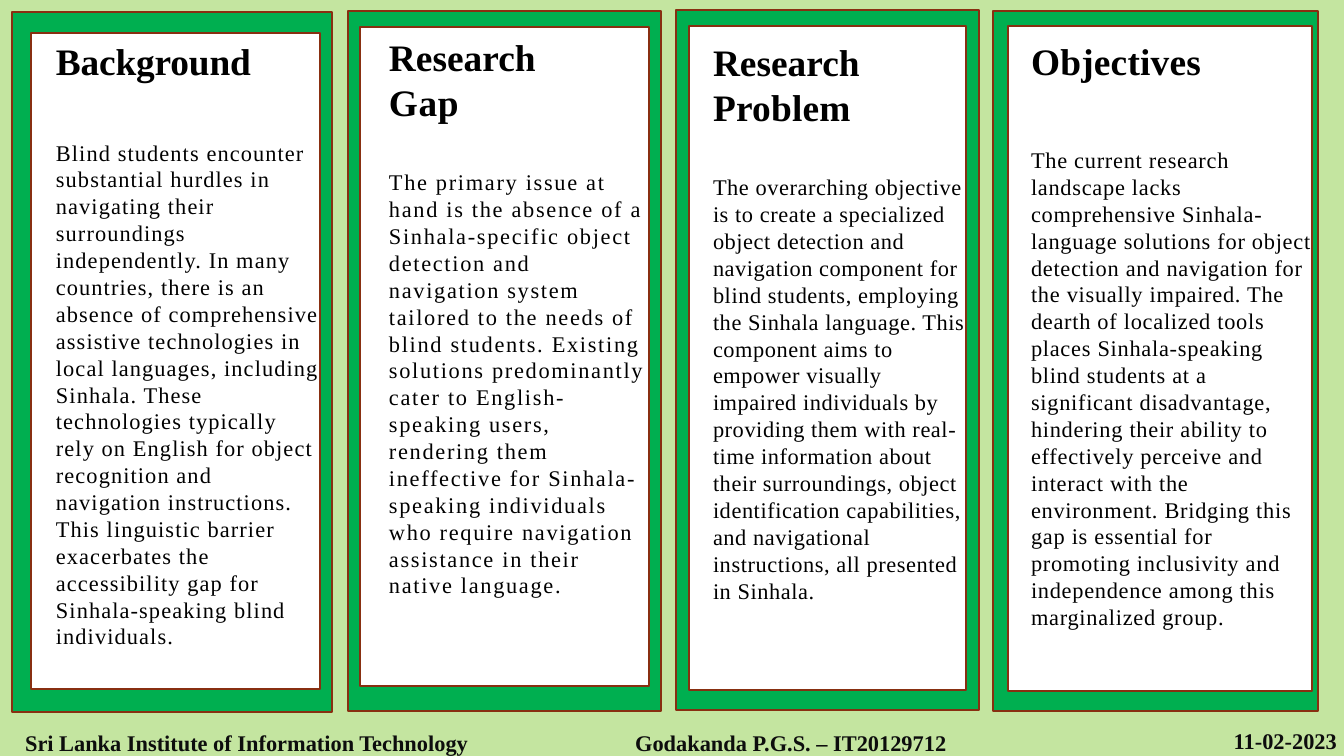
"""Build a slide with four framed research summary panels and a footer."""
from lxml import etree
from pptx import Presentation
from pptx.dml.color import RGBColor
from pptx.enum.shapes import MSO_SHAPE
from pptx.enum.text import MSO_ANCHOR, PP_ALIGN
from pptx.oxml.ns import qn
from pptx.util import Emu, Pt

RECTANGLE = MSO_SHAPE.RECTANGLE
TOP = MSO_ANCHOR.TOP
LEFT, CENTER, RIGHT = PP_ALIGN.LEFT, PP_ALIGN.CENTER, PP_ALIGN.RIGHT

SLIDE_WIDTH, SLIDE_HEIGHT = 1344, 756
EMU_PER_PX = 914400 / 134.4
FONT = "Times New Roman"
LINE_WIDTH = 1.25
BACKDROP_ALPHA = 54
COLORS = {
    "backdrop": "92D050",
    "frame": "00AF50",
    "border": "882F11",
    "card": "FFFFFF",
    "text": "000000",
    "footer": "0D0D0D",
}
TITLE = {"name": FONT, "size": Pt(20), "bold": True}
BODY = {"name": FONT, "size": Pt(12), "bold": False}
FOOTER = {"name": FONT, "size": Pt(12), "bold": True}

PANELS = [
    {
        "frame": (12, 12, 320, 700), "card": (31, 33, 289, 656),
        "inset": 5, "indent": 25, "gap": 30, "spacing": 0.6,
        "title": [("Background", -0.1)],
        "body": "Blind students encounter substantial hurdles in navigating their "
                "surroundings independently. In many countries, there is an absence of "
                "comprehensive assistive technologies in local languages, including "
                "Sinhala. These technologies typically rely on English for object "
                "recognition and navigation instructions. This linguistic barrier "
                "exacerbates the accessibility gap for Sinhala-speaking blind individuals.",
    },
    {
        "frame": (348, 11, 313, 700), "card": (360, 27, 289, 659),
        "inset": 7, "indent": 29, "gap": 24, "spacing": 0.9,
        "title": [("Research", 0), ("Gap", 0.3)],
        "body": "The primary issue at hand is the absence of a Sinhala-specific object "
                "detection and navigation system tailored to the needs of blind students. "
                "Existing solutions predominantly cater to English-speaking users, "
                "rendering them ineffective for Sinhala-speaking individuals who require "
                "navigation assistance in their native language.",
    },
    {
        "frame": (676, 10, 303, 700), "card": (689, 26, 277, 664),
        "inset": 13, "indent": 24, "gap": 24, "spacing": 0.3,
        "title": [("Research", 0), ("Problem", 0.1)],
        "body": "The overarching objective is to create a specialized object detection "
                "and navigation component for blind students, employing the Sinhala "
                "language. This component aims to empower visually impaired individuals "
                "by providing them with real-time information about their surroundings, "
                "object identification capabilities, and navigational instructions, all "
                "presented in Sinhala.",
    },
    {
        "frame": (993, 11, 325, 700), "card": (1008, 26, 304, 665),
        "inset": 12, "indent": 23, "gap": 34, "spacing": 0.4,
        "title": [("Objectives", 0.1)],
        "body": "The current research landscape lacks comprehensive Sinhala-language "
                "solutions for object detection and navigation for the visually impaired. "
                "The dearth of localized tools places Sinhala-speaking blind students at "
                "a significant disadvantage, hindering their ability to effectively "
                "perceive and interact with the environment. Bridging this gap is "
                "essential for promoting inclusivity and independence among this "
                "marginalized group.",
    },
]
FOOTERS = [
    ("Sri Lanka Institute of Information Technology", (0, 727, 492, 29), CENTER),
    ("Godakanda P.G.S. – IT20129712", (493, 727, 594, 29), CENTER),
    ("11-02-2023", (1086, 725, 251, 29), RIGHT),
]


def px(value):
    return Emu(round(value * EMU_PER_PX))


def color(name):
    return RGBColor.from_string(COLORS[name])


def add_rectangle(slide, box, fill, border=None):
    shape = slide.shapes.add_shape(RECTANGLE, *map(px, box))
    shape.shadow.inherit = False
    shape.fill.solid()
    shape.fill.fore_color.rgb = color(fill)
    if border:
        shape.line.color.rgb = color(border)
        shape.line.width = Pt(LINE_WIDTH)
    else:
        shape.line.fill.background()
    return shape


def prepare_frame(shape, inset):
    values = {
        "word_wrap": True, "vertical_anchor": TOP, "margin_top": px(inset),
        "margin_left": 0, "margin_right": 0, "margin_bottom": 0,
    }
    for name, value in values.items():
        setattr(shape.text_frame, name, value)
    return shape.text_frame


def write_paragraph(paragraph, text, style, ink, align=LEFT, indent=0, spacing=0):
    paragraph.alignment = align
    properties = paragraph._p.get_or_add_pPr()
    properties.set("marL", str(px(indent)))
    properties.set("indent", "0")
    run = paragraph.add_run()
    run.text = text
    for name, value in style.items():
        setattr(run.font, name, value)
    run.font.color.rgb = color(ink)
    run._r.get_or_add_rPr().set("spc", str(round(spacing * 100)))


def add_panel(slide, panel):
    add_rectangle(slide, panel["frame"], "frame", "border")
    card = add_rectangle(slide, panel["card"], "card", "border")
    frame = prepare_frame(card, panel["inset"])
    lines = [(text, TITLE, spacing) for text, spacing in panel["title"]]
    lines.append((panel["body"], BODY, panel["spacing"]))
    for index, (text, style, spacing) in enumerate(lines):
        paragraph = frame.add_paragraph() if index else frame.paragraphs[0]
        write_paragraph(paragraph, text, style, "text",
                        indent=panel["indent"], spacing=spacing)
    paragraph.space_before = Pt(panel["gap"])


def main():
    presentation = Presentation()
    presentation.slide_width = px(SLIDE_WIDTH)
    presentation.slide_height = px(SLIDE_HEIGHT)
    slide = presentation.slides.add_slide(presentation.slide_layouts[6])

    backdrop = add_rectangle(slide, (0, 0, SLIDE_WIDTH, SLIDE_HEIGHT), "backdrop")
    fill_color = backdrop._element.spPr.find(qn("a:solidFill"))[0]
    etree.SubElement(fill_color, qn("a:alpha"), val=str(BACKDROP_ALPHA * 1000))

    for panel in PANELS:
        add_panel(slide, panel)
    for text, box, align in FOOTERS:
        text_box = slide.shapes.add_textbox(*map(px, box))
        frame = prepare_frame(text_box, 2)
        write_paragraph(frame.paragraphs[0], text, FOOTER, "footer", align, indent=2)

    presentation.save("out.pptx")


if __name__ == "__main__":
    main()
